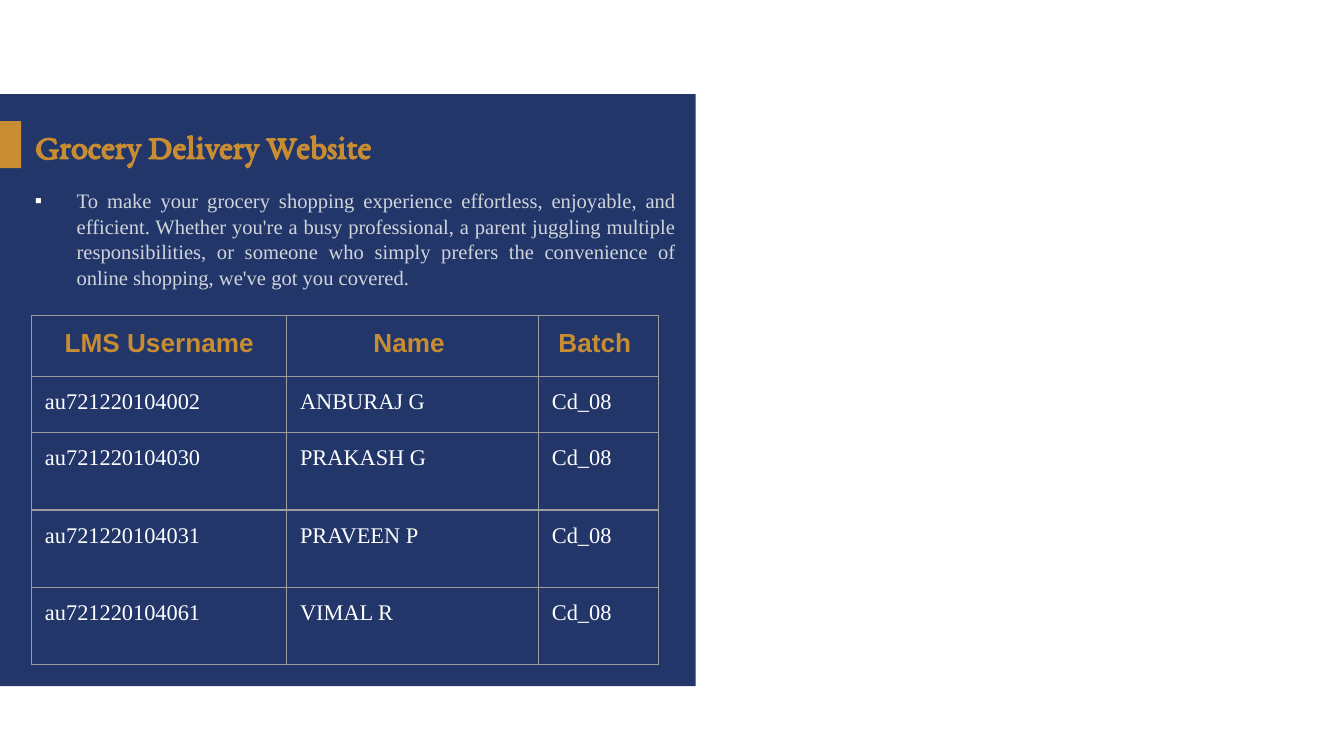
from lxml.etree import SubElement
from pptx import Presentation
from pptx.dml.color import RGBColor
from pptx.enum.shapes import MSO_SHAPE
from pptx.enum.text import MSO_ANCHOR, PP_ALIGN
from pptx.oxml.ns import qn
from pptx.util import Cm, Pt

COLORS = {
    "navy": "223669",
    "gold": "C88C32",
    "mist": "D1D5DB",
    "white": "FFFFFF",
    "rule": "9E9E9E",
}
FORMATS = {
    "title": {"name": "EB Garamond", "size": Pt(18.3), "bold": True},
    "body": {"name": "Times New Roman", "size": Pt(11), "bold": False},
    "header": {"name": "Arial", "size": Pt(14), "bold": True},
    "cell": {"name": "Times New Roman", "size": Pt(12), "bold": False},
}
SUMMARY = (
    "To make your grocery shopping experience effortless, enjoyable, and efficient. "
    "Whether you're a busy professional, a parent juggling multiple responsibilities, "
    "or someone who simply prefers the convenience of online shopping, "
    "we've got you covered."
)
BATCH = "Cd_08"
MEMBERS = [
    ("LMS Username", "Name ", "Batch "),
    ("au721220104002", "ANBURAJ G", BATCH),
    ("au721220104030", "PRAKASH G", BATCH),
    ("au721220104031", "PRAVEEN P", BATCH),
    ("au721220104061", "VIMAL R", BATCH),
]
COLUMN_WIDTHS = [4.82, 4.76, 2.26]
ROW_HEIGHTS = [1.15, 1.06] + [1.46] * 3


class SlideBuilder:
    def __init__(self, slide):
        self.slide = slide

    def color(self, name):
        return RGBColor.from_string(COLORS[name])

    def block(self, left, top, width, height, color):
        block = self.slide.shapes.add_shape(
            MSO_SHAPE.RECTANGLE, Cm(left), Cm(top), Cm(width), Cm(height)
        )
        block.shadow.inherit = False
        block.fill.solid()
        block.fill.fore_color.rgb = self.color(color)
        block.line.fill.background()

    def styled_run(self, paragraph, text, style, color, align=PP_ALIGN.LEFT):
        paragraph.alignment = align
        run = paragraph.add_run()
        run.text = text
        for attribute, value in FORMATS[style].items():
            setattr(run.font, attribute, value)
        run.font.color.rgb = self.color(color)

    def text(self, left, top, width, height, anchor):
        frame = self.slide.shapes.add_textbox(
            Cm(left), Cm(top), Cm(width), Cm(height)
        ).text_frame
        frame.word_wrap = True
        frame.vertical_anchor = anchor
        return frame.paragraphs[0]

    def bullet(self, paragraph, symbol, color, indent):
        properties = paragraph._p.get_or_add_pPr()
        properties.set("marL", str(Cm(indent)))
        properties.set("indent", str(-Cm(indent)))
        bullet_color = SubElement(properties, qn("a:buClr"))
        SubElement(bullet_color, qn("a:srgbClr"), val=COLORS[color])
        SubElement(properties, qn("a:buFont"), typeface="Arial")
        SubElement(properties, qn("a:buChar"), char=symbol)

    def borders(self, cell, color, width):
        properties = cell._tc.get_or_add_tcPr()
        for side in ("a:lnL", "a:lnR", "a:lnT", "a:lnB"):
            border = SubElement(properties, qn(side), w=str(Pt(width)))
            fill = SubElement(border, qn("a:solidFill"))
            SubElement(fill, qn("a:srgbClr"), val=COLORS[color])

    def table(self, left, top, widths, heights, rows):
        table = self.slide.shapes.add_table(
            len(rows), len(widths), Cm(left), Cm(top), Cm(sum(widths)), Cm(sum(heights))
        ).table
        table.first_row = False
        table.horz_banding = False
        for column, width in zip(table.columns, widths):
            column.width = Cm(width)
        for row, height, values in zip(table.rows, heights, rows):
            row.height = Cm(height)
            for cell, value in zip(row.cells, values):
                for side in ("left", "right", "top", "bottom"):
                    setattr(cell, f"margin_{side}", Cm(0.25))
                self.borders(cell, "rule", 0.75)
                cell.fill.background()
                paragraph = cell.text_frame.paragraphs[0]
                if values is rows[0]:
                    self.styled_run(paragraph, value, "header", "gold", PP_ALIGN.CENTER)
                else:
                    self.styled_run(paragraph, value, "cell", "white")


def main():
    presentation = Presentation()
    presentation.slide_width = Cm(25.4)
    presentation.slide_height = Cm(14.29)
    builder = SlideBuilder(presentation.slides.add_slide(presentation.slide_layouts[6]))

    builder.block(0, 1.78, 13.15, 11.19, "navy")
    builder.block(0, 2.29, 0.4, 0.89, "gold")

    title = builder.text(0.41, 2.26, 9.5, 0.97, MSO_ANCHOR.MIDDLE)
    builder.styled_run(title, "Grocery Delivery Website", "title", "gold")

    summary = builder.text(0.41, 3.4, 12.62, 8.43, MSO_ANCHOR.TOP)
    summary.line_spacing = 1.05
    builder.bullet(summary, "▪", "white", 0.79)
    builder.styled_run(summary, SUMMARY, "body", "mist", PP_ALIGN.JUSTIFY)

    builder.table(0.6, 5.97, COLUMN_WIDTHS, ROW_HEIGHTS, MEMBERS)
    presentation.save("out.pptx")


if __name__ == "__main__":
    main()
